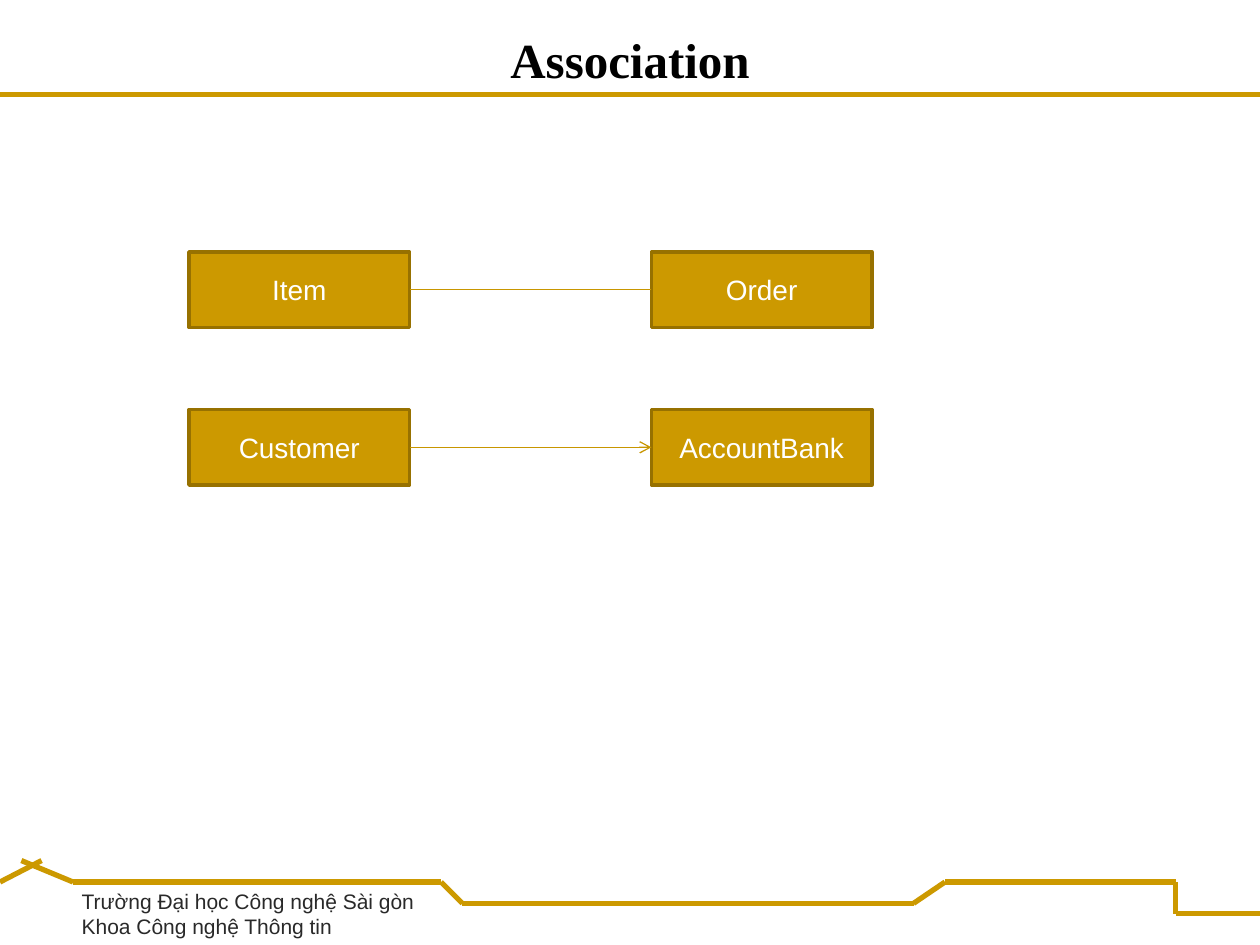
from itertools import pairwise

from lxml.etree import SubElement
from pptx import Presentation
from pptx.dml.color import RGBColor
from pptx.enum.shapes import MSO_CONNECTOR, MSO_SHAPE
from pptx.enum.text import MSO_ANCHOR, PP_ALIGN
from pptx.oxml.ns import qn
from pptx.util import Inches, Pt

GOLD = RGBColor(0xCC, 0x99, 0x00)
DARK_GOLD = RGBColor(0x97, 0x71, 0x00)
LINK_GOLD = RGBColor(0xC8, 0x96, 0x00)
CHARCOAL = RGBColor(0x29, 0x29, 0x29)
BLACK = RGBColor(0, 0, 0)
WHITE = RGBColor(0xFF, 0xFF, 0xFF)

COLUMNS = (1.5, 5.17)
ROWS = (2, 3.25)
CLASS_WIDTH, CLASS_HEIGHT = 1.75, 0.6

HEADER_RULE = [(0, 0.75), (10, 0.75)]
FOOTER_START = [(0, 7), (0.33, 6.83)]
FOOTER_PATH = [(0.17, 6.83), (0.58, 7), (3.5, 7), (3.67, 7.17), (7.25, 7.17),
               (7.5, 7), (9.33, 7), (9.33, 7.25), (10, 7.25)]


def add_run(paragraph, text, size, color, font="Arial", bold=False):
    run = paragraph.add_run()
    run.text = text
    run.font.name = font
    run.font.size = Pt(size)
    run.font.bold = bold
    run.font.color.rgb = color


def add_line(slide, start, end, color, width):
    line = slide.shapes.add_connector(
        MSO_CONNECTOR.STRAIGHT, *(Inches(value) for value in (*start, *end)))
    line.line.color.rgb = color
    line.line.width = Pt(width)
    SubElement(line._element.spPr, qn("a:effectLst"))
    return line


def add_frame(slide):
    """Draw the rule under the title and the stepped footer line."""
    for points in (HEADER_RULE, FOOTER_START, FOOTER_PATH):
        for start, end in pairwise(points):
            add_line(slide, start, end, GOLD, 3)


def add_footer(slide, lines):
    box = slide.shapes.add_textbox(Inches(0.55), Inches(7), Inches(2.84), Inches(0.5))
    frame = box.text_frame
    frame.word_wrap = False
    for index, text in enumerate(lines):
        paragraph = frame.add_paragraph() if index else frame.paragraphs[0]
        add_run(paragraph, text, 12, CHARCOAL)


def set_title(slide, text):
    title = slide.shapes.title
    title.left, title.top = Inches(0), Inches(0.04)
    title.width, title.height = Inches(10), Inches(0.71)
    title.text_frame.vertical_anchor = MSO_ANCHOR.BOTTOM
    paragraph = title.text_frame.paragraphs[0]
    paragraph.alignment = PP_ALIGN.CENTER
    add_run(paragraph, text, 28, BLACK, "Times New Roman", bold=True)


def add_class(slide, name, column, row):
    shape = slide.shapes.add_shape(
        MSO_SHAPE.RECTANGLE, Inches(COLUMNS[column]), Inches(ROWS[row]),
        Inches(CLASS_WIDTH), Inches(CLASS_HEIGHT))
    shape.shadow.inherit = False
    shape.fill.solid()
    shape.fill.fore_color.rgb = GOLD
    shape.line.color.rgb = DARK_GOLD
    shape.line.width = Pt(2)
    shape.text_frame.vertical_anchor = MSO_ANCHOR.MIDDLE
    paragraph = shape.text_frame.paragraphs[0]
    paragraph.alignment = PP_ALIGN.CENTER
    add_run(paragraph, name, 16, WHITE)
    return shape


def add_association(slide, row, source_name, target_name, directed):
    source = add_class(slide, source_name, 0, row)
    target = add_class(slide, target_name, 1, row)
    middle = ROWS[row] + CLASS_HEIGHT / 2
    link = add_line(slide, (COLUMNS[1], middle), (COLUMNS[0] + CLASS_WIDTH, middle),
                    LINK_GOLD, 0.75)
    link.begin_connect(target, 1)
    link.end_connect(source, 3)
    if directed:
        SubElement(link.line._get_or_add_ln(), qn("a:headEnd"), type="arrow")


def main():
    presentation = Presentation()
    presentation.slide_width, presentation.slide_height = Inches(10), Inches(7.5)
    slide = presentation.slides.add_slide(presentation.slide_layouts[5])
    add_frame(slide)
    add_footer(slide, ["Trường Đại học Công nghệ Sài gòn", "Khoa Công nghệ Thông tin"])
    set_title(slide, "Association")
    add_association(slide, 0, "Item", "Order", directed=False)
    add_association(slide, 1, "Customer", "AccountBank", directed=True)
    presentation.save("out.pptx")


if __name__ == "__main__":
    main()
